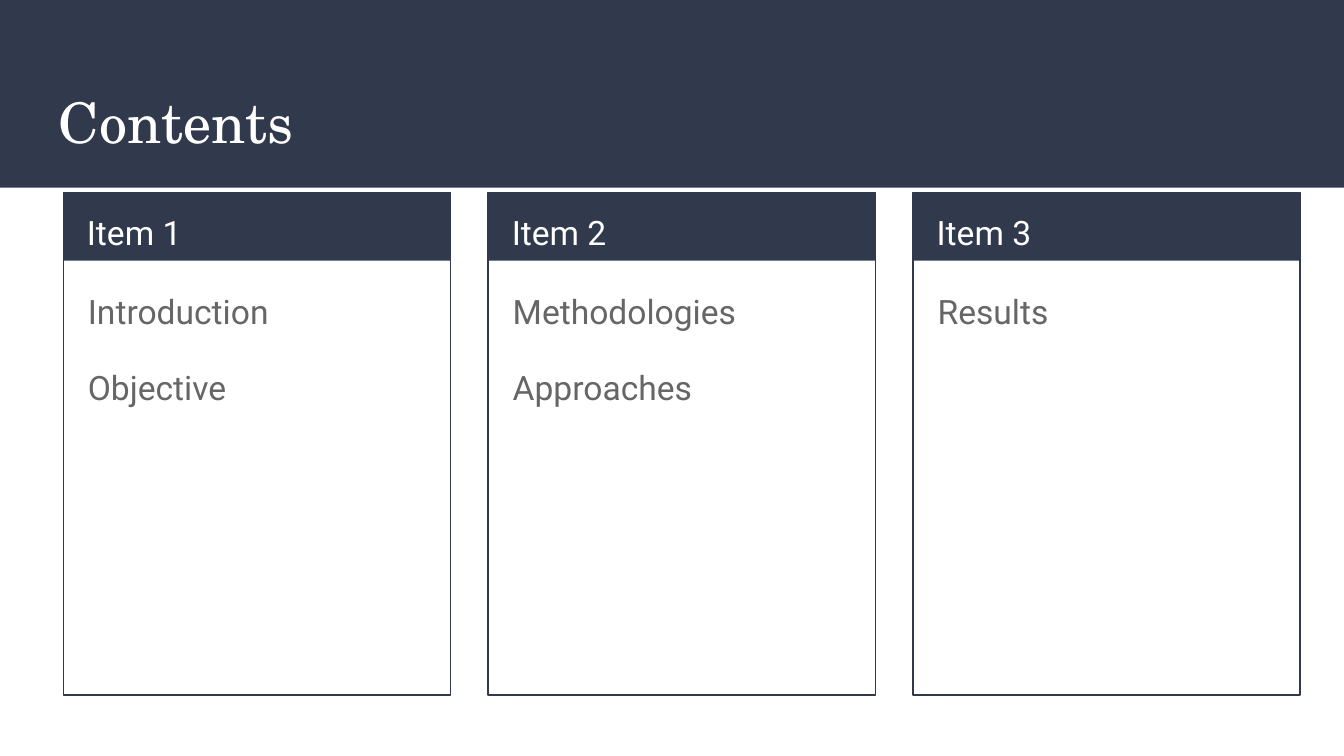
from pptx import Presentation
from pptx.dml.color import RGBColor
from pptx.enum import shapes, text
from pptx.util import Pt

NAVY = RGBColor(0x31, 0x39, 0x4D)
WHITE = RGBColor(0xFF, 0xFF, 0xFF)
GRAY = RGBColor(0x66, 0x66, 0x66)
SERIF = "TeX Gyre Schola"
SANS = "Roboto"

# Column grid, in points
LEFT, TOP, PITCH = 33.9, 103, 227.6
WIDTH, HEIGHT, HEAD = 207.4, 269.3, 36.7

CARDS = [
    ("Item 1", ["Introduction", "Objective"]),
    ("Item 2", ["Methodologies", "Approaches"]),
    ("Item 3", ["Results"]),
]


def add_rect(slide, x, y, w, h, fill=None, line=None):
    rect = slide.shapes.add_shape(
        shapes.MSO_SHAPE.RECTANGLE, Pt(x), Pt(y), Pt(w), Pt(h))
    rect.shadow.inherit = False
    if fill is None:
        rect.fill.background()
    else:
        rect.fill.solid()
        rect.fill.fore_color.rgb = fill
    if line is None:
        rect.line.fill.background()
    else:
        rect.line.color.rgb = line
        rect.line.width = Pt(0.75)


def add_text(slide, x, y, w, h, lines, size, font, color, space=1, after=0):
    box = slide.shapes.add_textbox(Pt(x), Pt(y), Pt(w), Pt(h))
    frame = box.text_frame
    frame.word_wrap = True
    frame.vertical_anchor = text.MSO_ANCHOR.TOP
    frame.margin_left = frame.margin_right = Pt(7.2)
    frame.margin_top = frame.margin_bottom = Pt(7.2)
    for i, line in enumerate(lines):
        para = frame.paragraphs[0] if i == 0 else frame.add_paragraph()
        para.line_spacing = space
        para.space_after = Pt(after)
        run = para.add_run()
        run.text = line
        run.font.size = Pt(size)
        run.font.name = font
        run.font.color.rgb = color


def add_card(slide, x, head, items):
    add_rect(slide, x, TOP, WIDTH, HEAD, fill=NAVY)
    add_rect(slide, x, TOP, WIDTH, HEIGHT, line=NAVY)
    add_text(slide, x + 5.6, TOP, 196.6, 36, [head], 18, SANS, WHITE, 1.15)
    add_text(slide, x + 6.1, 145.4, 195.1, 220.3, items, 18, SANS, GRAY,
             1.15, 16)


def main():
    deck = Presentation()
    deck.slide_width, deck.slide_height = Pt(720), Pt(405)
    slide = deck.slides.add_slide(deck.slide_layouts[6])

    # Title band
    add_rect(slide, 0, 0, 720, 100.6, fill=NAVY)
    add_text(slide, 24.5, 39.6, 671, 49, ["Contents"], 30, SERIF, WHITE)

    # Three content cards
    for i, (head, items) in enumerate(CARDS):
        add_card(slide, LEFT + i * PITCH, head, items)

    deck.save("out.pptx")


if __name__ == "__main__":
    main()
